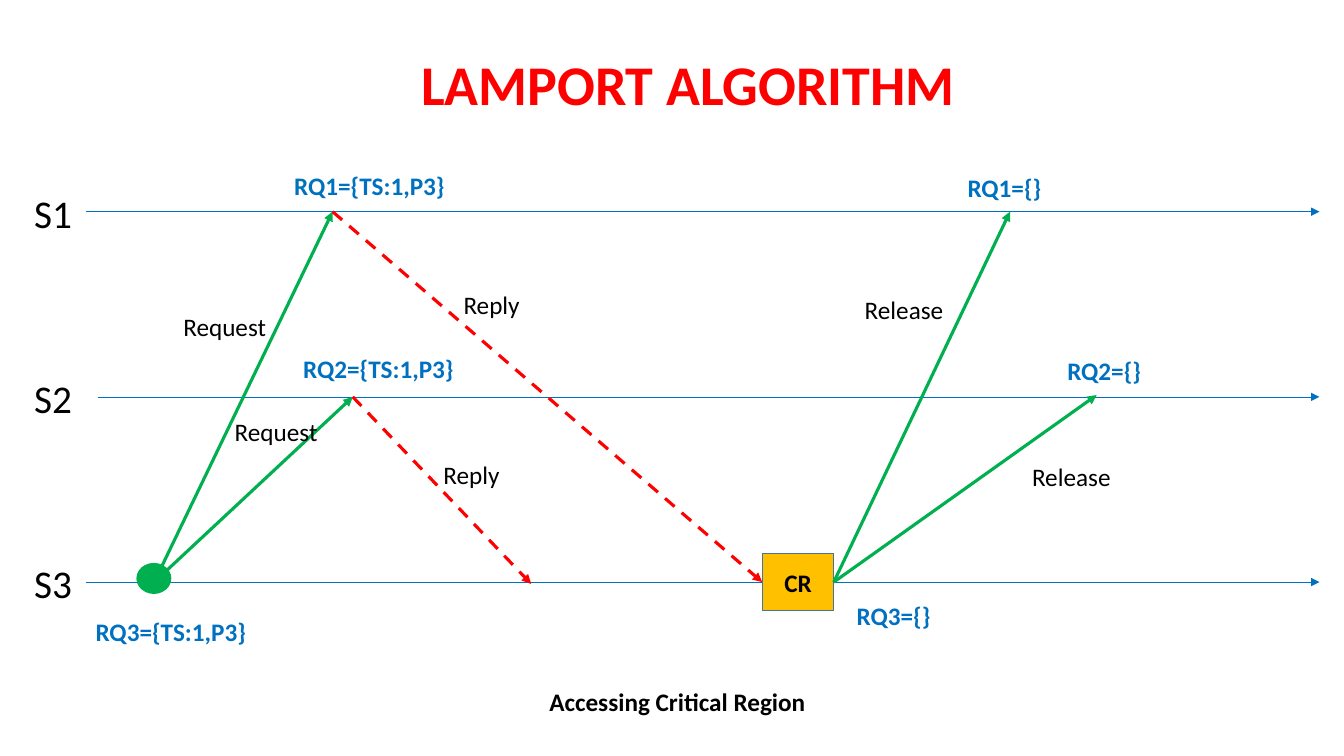
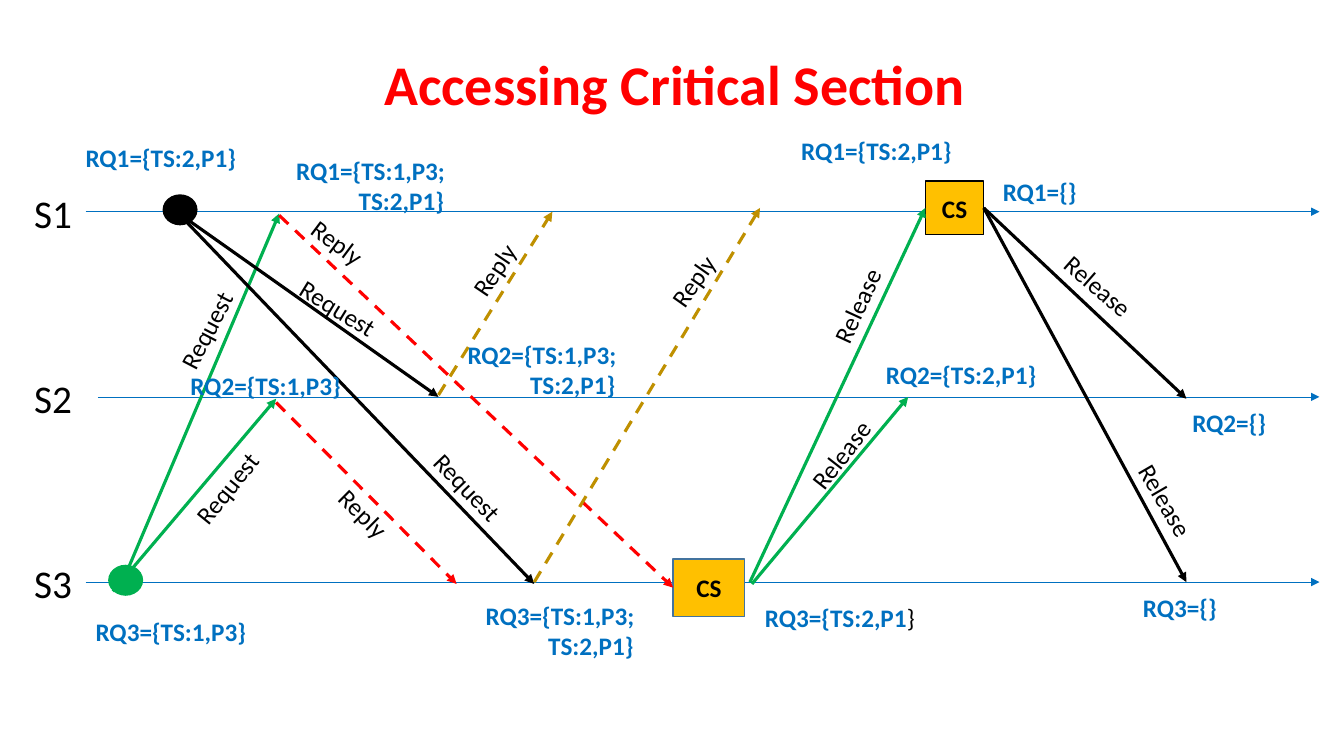
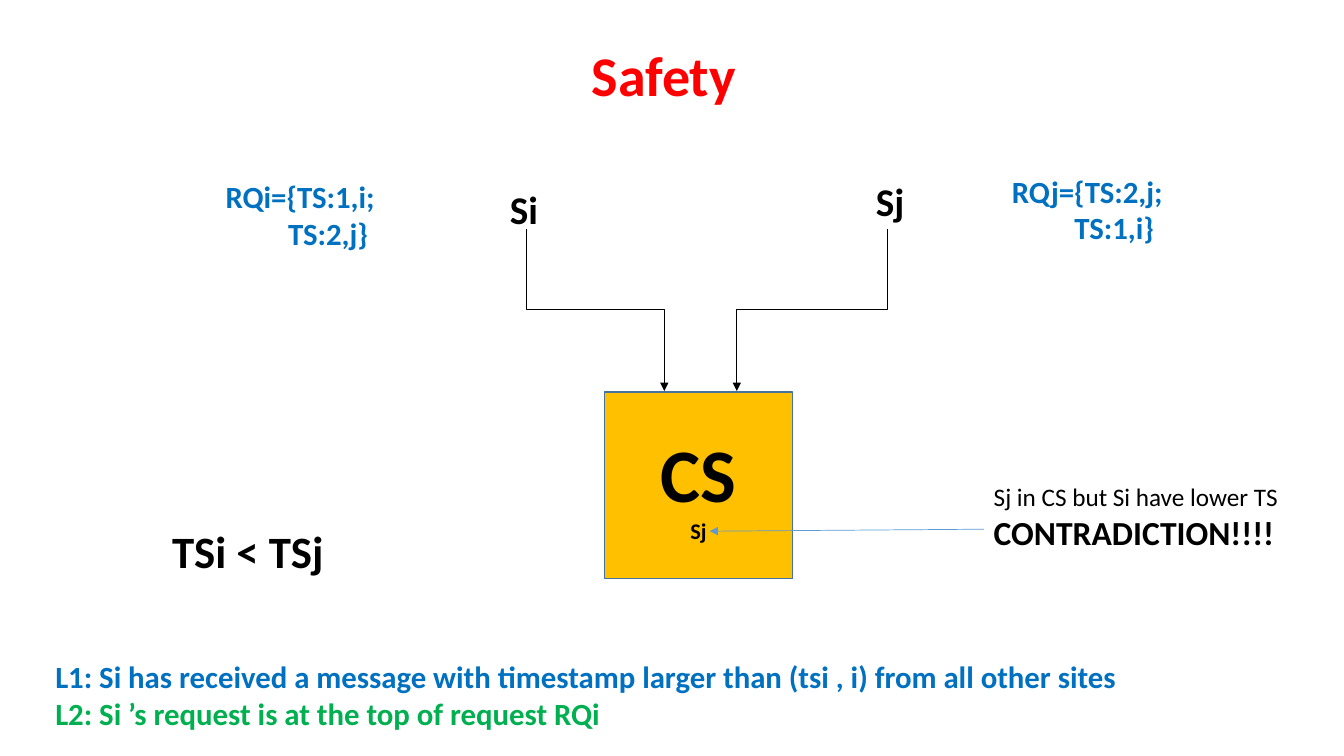
from dataclasses import dataclass
from typing import Any

from lxml import etree
from pptx import Presentation
from pptx import util as u
from pptx.dml.color import RGBColor
from pptx.enum import dml, shapes, text
from pptx.oxml import ns

WIDE, HIGH = 13.33, 7.5
FONT = "Calibri"
RED = RGBColor(0xFF, 0, 0)
BLUE = RGBColor(0, 0x70, 0xC0)
GREEN = RGBColor(0, 0xB0, 0x50)
GOLD = RGBColor(0xBF, 0x90, 0)
AMBER = RGBColor(0xFF, 0xC0, 0)
STEEL = RGBColor(0x43, 0x73, 0x9E)
SKY = RGBColor(0x5B, 0x9B, 0xD5)
BLACK = RGBColor(0, 0, 0)
LEFT, MID = text.PP_ALIGN.LEFT, text.PP_ALIGN.CENTER

PAGE = (0, 0, 1, 1)
CHART = (0, 0.28, 1, 0.49)
COLS, ROWS, GAPS = 40, 30, 2
HANG = 0.62  # indent of the second line of a queue, inches


def run(words, size, color=BLACK, bold=False):
    return words, size, color, bold


def fill(frame, paras, align, hang=0):
    """Add paragraphs run by run; lines after the first are indented."""
    frame.word_wrap = True
    for n, runs in enumerate(paras):
        para = frame.paragraphs[0] if n == 0 else frame.add_paragraph()
        para.alignment = align
        if n and hang:
            para._p.get_or_add_pPr().set("marL", str(u.Inches(hang)))
        for words, size, color, bold in runs:
            part = para.add_run()
            part.text = words
            font = part.font
            font.name, font.size, font.bold = FONT, u.Pt(size), bold
            font.color.rgb = color


@dataclass
class Grid:
    """A box, in shares of the slide, cut into columns and rows."""
    slide: Any
    box: tuple
    cols: int
    rows: int

    def wide(self, n):
        return u.Inches(n * self.box[2] * WIDE / self.cols)

    def high(self, n):
        return u.Inches(n * self.box[3] * HIGH / self.rows)

    def spot(self, x, y):
        return (u.Inches(self.box[0] * WIDE) + self.wide(x),
                u.Inches(self.box[1] * HIGH) + self.high(y))

    def label(self, paras, x, y, w, h, align=LEFT, hang=0, turn=0):
        area = self.slide.shapes.add_textbox(
            *self.spot(x, y), self.wide(w), self.high(h))
        area.rotation = turn
        fill(area.text_frame, paras, align, hang)

    def shape(self, kind, x, y, w, h, color, edge, paras=()):
        """Place a preset shape around its centre."""
        item = self.slide.shapes.add_shape(
            kind, *self.spot(x - w / 2, y - h / 2), self.wide(w), self.high(h))
        item.shadow.inherit = False
        item.fill.solid()
        item.fill.fore_color.rgb = color
        item.line.color.rgb = edge
        item.line.width = u.Pt(1)
        item.text_frame.vertical_anchor = text.MSO_ANCHOR.MIDDLE
        fill(item.text_frame, paras, MID)
        return item

    def arrow(self, start, end, color, width, dash=False):
        """An end is a point, or a rectangle joined at its right or left side."""
        out, into = not isinstance(start, tuple), not isinstance(end, tuple)
        line = self.slide.shapes.add_connector(
            shapes.MSO_CONNECTOR.STRAIGHT,
            *self.spot(*((0, 0) if out else start)),
            *self.spot(*((0, 0) if into else end)))
        if out:
            line.begin_connect(start, 3)
        if into:
            line.end_connect(end, 1)
        ink(line, color, width, dash)

    def elbow(self, start, end, color, width):
        """A bent arrow that leaves and arrives vertically."""
        (ax, ay), (bx, by) = self.spot(*start), self.spot(*end)
        mx, my = (ax + bx) / 2, (ay + by) / 2
        side = 1 if bx > ax else -1
        run_x, run_y = side * (by - ay) / 2, abs(bx - ax) / 2
        line = self.slide.shapes.add_connector(
            shapes.MSO_CONNECTOR.ELBOW, int(mx + run_x), int(my - run_y),
            int(mx - run_x), int(my + run_y))
        turn = 270 if side > 0 else 90
        line._element.spPr.find(ns.qn("a:xfrm")).set("rot", str(turn * 60000))
        ink(line, color, width)


def ink(line, color, width, dash=False):
    line.line.color.rgb = color
    line.line.width = u.Pt(width)
    if dash:
        line.line.dash_style = dml.MSO_LINE.DASH
    props = line._element.spPr
    etree.SubElement(props.find(ns.qn("a:ln")), ns.qn("a:tailEnd"),
                     type="triangle")
    etree.SubElement(props, ns.qn("a:effectLst"))


def title(page, words, x=2.91, y=1.76, w=35.13):
    page.label([[run(words, 40, RED, True)]], x, y, w, 3.08, MID)


def lanes(slide, box):
    """Three site lines; row n of the grid is the line of site n + 1."""
    grid = Grid(slide, box, COLS, GAPS)
    for n, left in enumerate((2.55, 2.91, 2.55)):
        grid.label([[run(f"S{n + 1}", 28)]], 0.72, n - 0.15, 2.2, 0.31)
        grid.arrow((left, n), (39.27, n), BLUE, 0.5)
    return grid


def region(grid, words, x, y, w, h, edge):
    return grid.shape(shapes.MSO_SHAPE.RECTANGLE, x, y, w, h, AMBER, edge,
                      [[run(words, 18, BLACK, True)]])


def sends(grid, items):
    for start, end, color, dash in items:
        grid.arrow(start, end, color, 2.25, dash)


def dots(grid, items):
    for x, y, color in items:
        grid.shape(shapes.MSO_SHAPE.OVAL, x, y, 1, 0.16, color, color)


def names(grid, items):
    """Message names, turned along their arrows."""
    for words, x, y, w, turn in items:
        grid.label([[run(words, 18)]], x, y, w, 0.22, turn=turn)


def queues(grid, items):
    """Request queues, one line of text per entry."""
    for words, x, y, w in items:
        rows = words.split("\n")
        paras = [[run(row, 18, BLUE, True)] for row in rows]
        grid.label(paras, x, y, w, 0.06 + 0.16 * len(rows), hang=HANG)


def basic(slide):
    page = Grid(slide, PAGE, COLS, ROWS)
    title(page, "LAMPORT ALGORITHM")
    grid = lanes(slide, CHART)
    crit = region(grid, "CR", 23.75, 2, 2.13, 0.31, STEEL)
    ask, top, low = (4.59, 2), (9.9, 0), (10.5, 1)
    sends(grid, [
        (ask, top, GREEN, False),
        (ask, low, GREEN, False),
        (low, (15.81, 2.01), RED, True),
        (top, crit, RED, True),
        (crit, (32.64, 0.99), GREEN, False),
        (crit, (30.06, 0), GREEN, False),
    ])
    dots(grid, [(4.58, 1.98, GREEN)])
    names(grid, [
        ("Request", 5.16, 0.51, 3.81, 0),
        ("Request", 6.69, 1.08, 3.24, 0),
        ("Reply", 13.5, 0.39, 2.31, 0),
        ("Reply", 12.9, 1.31, 3.69, 0),
        ("Release", 25.44, 0.42, 3.6, 0),
        ("Release", 30.42, 1.32, 4.23, 0),
    ])
    queues(grid, [
        ("RQ3={TS:1,P3}", 2.55, 2.16, 5.22),
        ("RQ2={TS:1,P3}", 8.73, 0.74, 6.33),
        ("RQ1={TS:1,P3}", 8.46, -0.25, 6.78),
        ("RQ1={}", 28.5, -0.24, 3.6),
        ("RQ2={}", 31.47, 0.75, 3.57),
        ("RQ3={}", 25.2, 2.07, 3.27),
    ])
    # Caption
    page.label([[run("Accessing Critical Region", 18, BLACK, True)]],
               3.09, 27.04, 34.14, 1.6, MID)


def rivals(slide):
    title(Grid(slide, PAGE, COLS, ROWS), "Accessing Critical Section", 2.51)
    grid = lanes(slide, CHART)
    first = region(grid, "CS", 21.1, 2.03, 2.13, 0.31, STEEL)
    later = region(grid, "CS", 28.41, -0.02, 1.74, 0.29, BLACK)
    sends(grid, [
        # Site 3 asks, enters and releases
        ((3.69, 1.98), (8.31, 0.01), GREEN, False),
        ((3.36, 2.05), (8.22, 1.01), GREEN, False),
        ((8.22, 1.03), (13.59, 2.01), RED, True),
        ((8.31, 0.02), first, RED, True),
        ((22.38, 2.01), (27.03, 1), GREEN, False),
        ((22.32, 2), later, GREEN, False),
        # Site 1 asks, enters and releases
        ((5.25, 0), (13.05, 1), BLACK, False),
        ((5.31, 0.01), (15.9, 2.01), BLACK, False),
        ((13.05, 0.99), (16.44, 0), GOLD, True),
        ((15.9, 2), (22.62, -0.02), GOLD, True),
        (later, (35.31, 1.01), BLACK, False),
        (later, (35.31, 2), BLACK, False),
    ])
    dots(grid, [(3.74, 1.99, GREEN), (5.36, -0.01, BLACK)])
    names(grid, [
        ("Request", 4.41, 0.47, 3.81, 297.5),
        ("Request", 5.19, 1.37, 3.24, 309.1),
        ("Reply", 8.76, 0.14, 3.81, 36.9),
        ("Reply", 9.48, 1.61, 3.69, 44.6),
        ("Release", 23.85, 0.34, 3.6, 294.7),
        ("Release", 23.31, 1.11, 4.23, 308),
        ("Request", 8.52, 0.42, 3.24, 31.5),
        ("Request", 12.36, 1.39, 3.24, 46.2),
        ("Reply", 13.23, 0.09, 3.81, 304.1),
        ("Reply", 19.17, 0.15, 3.81, 305.3),
        ("Release", 33.06, 1.5, 3.6, 59.9),
        ("Release", 31.14, 0.33, 3.6, 41.1),
    ])
    queues(grid, [
        ("RQ3={TS:1,P3}", 2.55, 2.16, 5.22),
        ("RQ2={TS:1,P3}", 5.37, 0.83, 6.33),
        ("RQ1={TS:1,P3;\nTS:2,P1}", 8.52, -0.33, 6.78),
        ("RQ1={TS:2,P1}", 2.25, -0.4, 5.49),
        ("RQ2={TS:1,P3;\nTS:2,P1}", 13.62, 0.66, 6.15),
        ("RQ3={TS:1,P3;\nTS:2,P1}", 14.16, 2.07, 5.43),
        ("RQ1={TS:2,P1}", 23.55, -0.44, 5.67),
        ("RQ2={TS:2,P1}", 26.07, 0.77, 6.33),
        ("RQ1={}", 29.55, -0.22, 5.73),
        ("RQ2={}", 35.19, 1.03, 3.45),
        ("RQ3={}", 33.72, 2.03, 4.47),
    ])
    # Queue with a plain closing brace
    grid.label([[run("RQ3={TS:2,P1", 18, BLUE, True), run("}", 18)]],
               22.47, 2.08, 5.88, 0.22)


def safety(slide):
    page = Grid(slide, PAGE, COLS, ROWS)
    title(page, "Safety", 14.58, 1.4, 10.35)
    page.shape(shapes.MSO_SHAPE.RECTANGLE, 20.79, 19.26, 5.58, 7.4, AMBER,
               STEEL, [[run("CS", 54, BLACK, True)],
                       [run("Sj", 16, BLACK, True)]])
    # Sites and their queues
    for words, x, y in (("Si", 14.88, 7.16), ("Sj", 25.77, 6.84)):
        page.label([[run(words, 28, BLACK, True)]], x, y, 3.3, 2.28)
    for rows, x, y in ((("RQi={TS:1,i;", "TS:2,j}"), 6.42, 6.84),
                       (("RQj={TS:2,j;", "TS:1,i}"), 29.82, 6.64)):
        page.label([[run(row, 22, BLUE, True)] for row in rows],
                   x, y, 5.82, 3.36, hang=HANG)
    for start, end in ((15.66, 19.77), (26.4, 21.93)):
        page.elbow((start, 9.08), (end, 15.52), BLACK, 0.75)
    # Contradiction
    page.label([[run("TSi < TSj", 32, BLACK, True)]], 4.83, 20.6, 11.58, 2.56)
    page.arrow((29.28, 21), (21.12, 21.08), SKY, 0.5)
    page.label([[run("Sj in CS but Si have lower TS", 18)],
                [run("CONTRADICTION!!!!", 24, BLACK, True)]],
               29.28, 18.92, 9.15, 3.24)
    # Conditions
    page.label([[run("L1: Si has received a message with timestamp larger "
                     "than (tsi , i) from all other sites", 22, BLUE, True)],
                [run("L2: Si ’s request is at the top of request RQi",
                     22, GREEN, True)]], 1.35, 25.92, 35.31, 3.36)


def main():
    deck = Presentation()
    deck.slide_width, deck.slide_height = u.Inches(WIDE), u.Inches(HIGH)
    for build in (basic, rivals, safety):
        build(deck.slides.add_slide(deck.slide_layouts[6]))
    deck.save("out.pptx")


if __name__ == "__main__":
    main()
